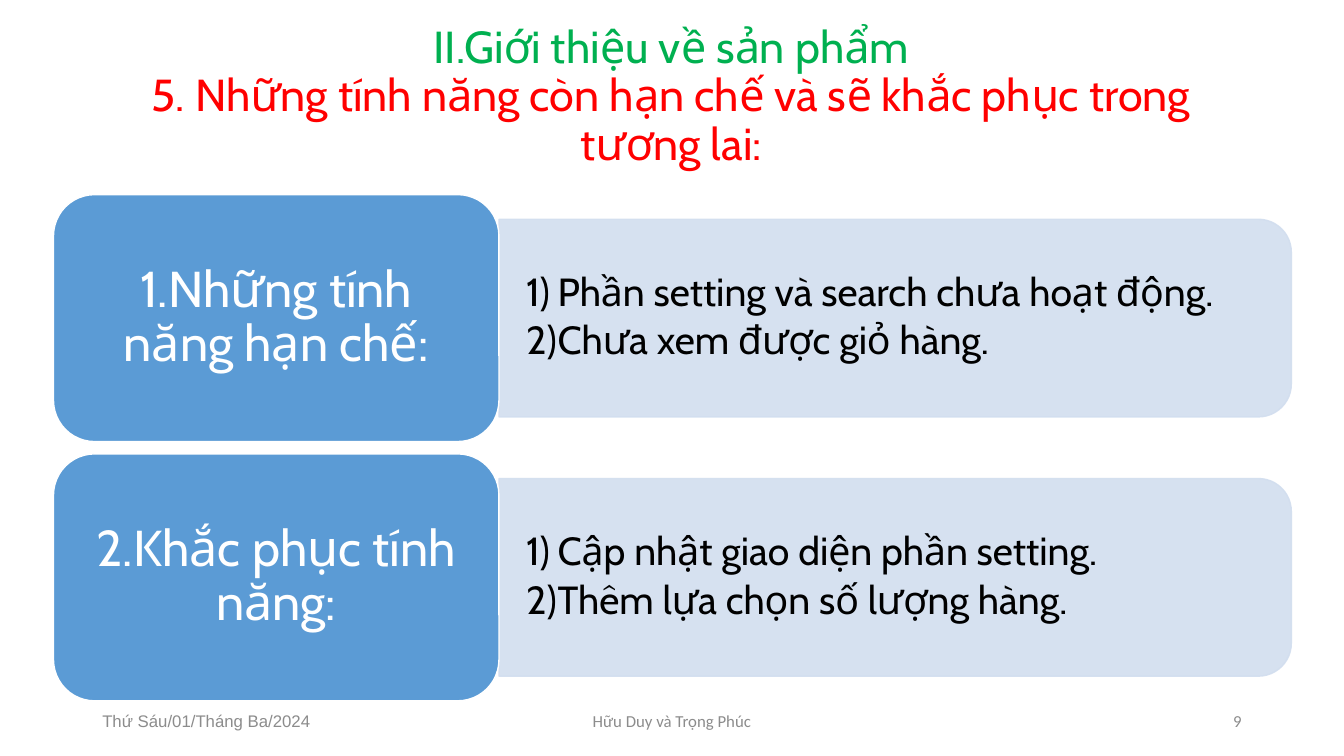
from lxml import etree
from pptx import Presentation
from pptx.dml.color import RGBColor
from pptx.enum.shapes import MSO_SHAPE
from pptx.enum.text import MSO_ANCHOR, MSO_AUTO_SIZE, PP_ALIGN
from pptx.oxml import parse_xml
from pptx.oxml.ns import nsdecls, qn
from pptx.util import Pt


def color(code):
    return RGBColor.from_string(code)


def write(box, lines, size, font="Cabin", code="000000", align=PP_ALIGN.LEFT,
          margins=(7.2, 3.6), spacing=1.0, after=0, numbered=False):
    """Fill a shape's text frame, one paragraph per line."""
    frame = box.text_frame
    frame.word_wrap = True
    frame.auto_size = MSO_AUTO_SIZE.NONE
    frame.vertical_anchor = MSO_ANCHOR.MIDDLE
    frame.margin_left = frame.margin_right = Pt(margins[0])
    frame.margin_top = frame.margin_bottom = Pt(margins[1])
    frame.text = "\n".join(lines)
    for para in frame.paragraphs:
        if numbered:
            properties = para._p.get_or_add_pPr()
            properties.set("marL", str(Pt(22.5)))
            properties.set("indent", str(-Pt(22.5)))
            properties.append(parse_xml(
                f'<a:buAutoNum {nsdecls("a")} type="arabicParenR"/>'))
        para.alignment = align
        para.line_spacing = spacing
        para.space_before = Pt(0)
        para.space_after = Pt(after)
        for span in para.runs:
            span.font.size = Pt(size)
            span.font.name = font
            span.font.color.rgb = color(code)


deck = Presentation()
deck.slide_width, deck.slide_height = Pt(960), Pt(540)
page = deck.slides.add_slide(deck.slide_layouts[5])

# Title: two colours separated by a line break
title = page.shapes.title
title.left, title.top, title.width, title.height = Pt(80.6), Pt(0), Pt(797.8), Pt(139)
write(title, ["II.Giới thiệu về sản phẩm\v"
              "5. Những tính năng còn hạn chế và sẽ khắc phục trong tương lai:"],
      32, code="00B050", align=PP_ALIGN.CENTER, spacing=0.9)
title.text_frame.paragraphs[0].runs[1].font.color.rgb = color("FF0000")

# Rows: a blue card and a pale panel with a numbered list
rows = [
    ("1.Những tính năng hạn chế:",
     ["Phần setting và search chưa hoạt động.", "Chưa xem được giỏ hàng."]),
    ("2.Khắc phục tính năng:",
     ["Cập nhật giao diện phần setting.", "Thêm lựa chọn số lượng hàng."]),
]
card_left, card_width, card_height = 38.2, 318.2, 176.4
panel_left, panel_width, panel_height = card_left + card_width, 566, 141.2
first_top, row_pitch = 139, 185.2

for index, (label, items) in enumerate(rows):
    card_top = first_top + index * row_pitch
    middle = card_top + card_height / 2

    # The panel is turned a quarter so that its round corners face right
    panel = page.shapes.add_shape(
        MSO_SHAPE.ROUND_2_SAME_RECTANGLE,
        Pt(panel_left + (panel_width - panel_height) / 2), Pt(middle - panel_width / 2),
        Pt(panel_height), Pt(panel_width))
    panel.rotation = 90
    panel.shadow.inherit = False
    panel.fill.solid()
    panel.fill.fore_color.rgb = color("D2DEEF")
    panel.line.color.rgb = color("D2DEEF")
    panel.line.width = Pt(1)
    for tint in panel._element.spPr.iter(qn("a:srgbClr")):
        etree.SubElement(tint, qn("a:alpha"), val="90000")

    listing = page.shapes.add_textbox(
        Pt(panel_left), Pt(middle - 63.7), Pt(558.7), Pt(127.4))
    write(listing, items, 28, margins=(19.4, 10), spacing=0.9, after=4.2, numbered=True)

    card = page.shapes.add_shape(
        MSO_SHAPE.ROUNDED_RECTANGLE,
        Pt(card_left), Pt(card_top), Pt(card_width), Pt(card_height))
    card.shadow.inherit = False
    card.fill.solid()
    card.fill.fore_color.rgb = color("5B9BD5")
    card.line.color.rgb = color("FFFFFF")
    card.line.width = Pt(1)
    write(card, [label], 36, code="FFFFFF", align=PP_ALIGN.CENTER,
          margins=(10.8, 5), spacing=0.9)

# Footer: date, authors, page number
footers = [
    ("Thứ Sáu/01/Tháng Ba/2024", 66, 216, "Arial", PP_ALIGN.LEFT),
    ("Hữu Duy và Trọng Phúc", 318, 324, "Calibri", PP_ALIGN.CENTER),
    ("9", 678, 216, "Calibri", PP_ALIGN.RIGHT),
]
for text, left, width, font, align in footers:
    footer = page.shapes.add_textbox(Pt(left), Pt(500.5), Pt(width), Pt(28.8))
    write(footer, [text], 12, font=font, code="8C8C8C", align=align)

deck.save("out.pptx")
